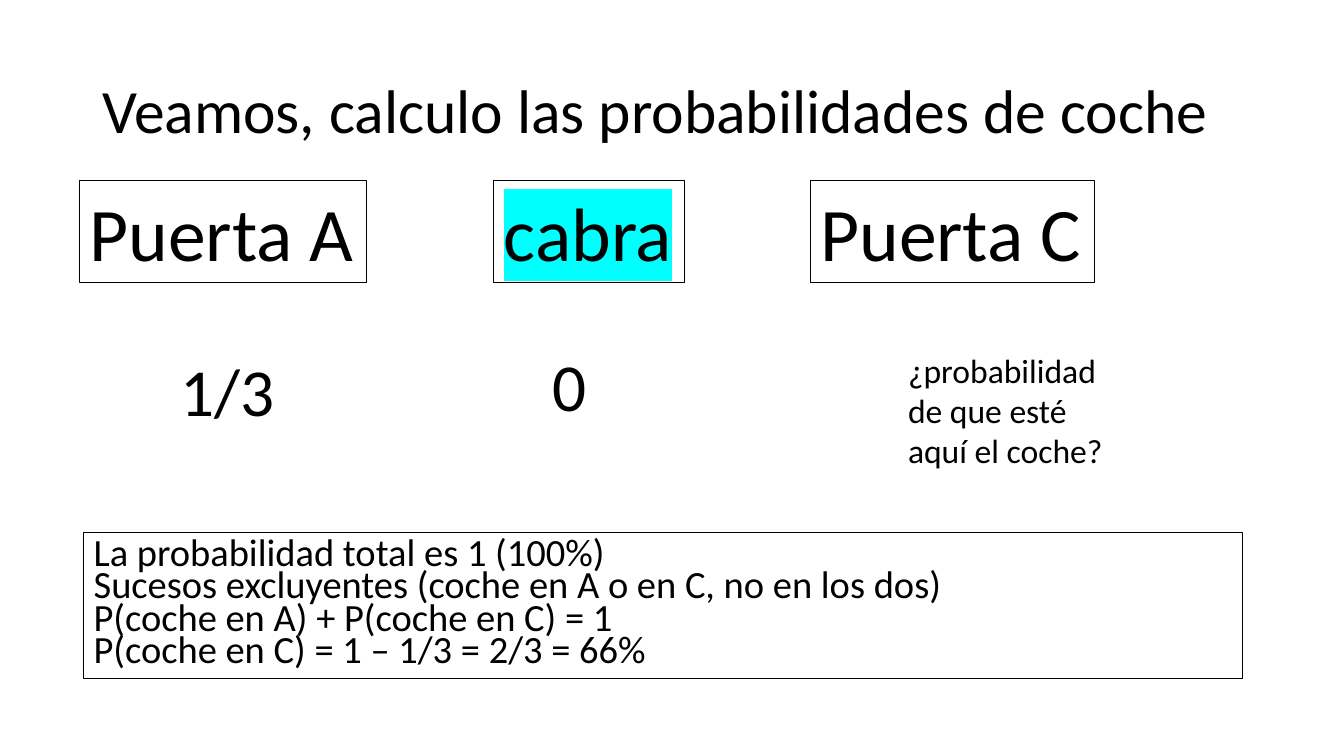
from dataclasses import dataclass

from lxml import etree
from pptx import Presentation
from pptx.dml.color import RGBColor
from pptx.enum.text import MSO_ANCHOR, MSO_AUTO_SIZE, PP_ALIGN
from pptx.oxml.ns import qn
from pptx.slide import Slide
from pptx.text.text import _Run
from pptx.util import Pt

TOP, MIDDLE = MSO_ANCHOR.TOP, MSO_ANCHOR.MIDDLE
FIT, FIXED = MSO_AUTO_SIZE.SHAPE_TO_FIT_TEXT, MSO_AUTO_SIZE.NONE
LEFT = PP_ALIGN.LEFT
FONT = "Calibri"
COLORS = {"ink": "000000", "paper": "FFFFFF", "goat": "00FFFF"}


@dataclass(frozen=True)
class Label:
    lines: tuple[str, ...]
    left: float
    top: float
    width: float
    height: float
    size: float
    framed: bool = False
    wrap: bool = True
    fit: bool = True
    spacing: float = 1.0
    highlight: str = ""


def door(name: str, left: float, width: float, highlight: str = "") -> Label:
    return Label((name,), left, 128.9, width, 72.7, 54,
                 framed=True, wrap=False, highlight=highlight)


def chance(value: str, left: float, top: float) -> Label:
    return Label((value,), left, top, 131, 65.5, 48)


LABELS = (
    Label(("Veamos, calculo las probabilidades de coche",),
          66, 28.8, 828, 104.4, 44, fit=False, spacing=0.9),
    door("Puerta A", 56.9, 205.2),
    door("cabra", 352.8, 136.1, highlight="goat"),
    door("Puerta C", 578.9, 203),
    chance("1/3", 121.7, 246.2),
    chance("0", 387.4, 242.6),
    Label(("¿probabilidad de que esté aquí el coche?",),
          641.5, 246.2, 164.2, 94.3, 24),
    Label(("La probabilidad total es 1 (100%)",
           "Sucesos excluyentes (coche en A o en C, no en los dos)",
           "P(coche en A) + P(coche en C) = 1",
           "P(coche en C) = 1 – 1/3 = 2/3 = 66%"),
          59.8, 380.2, 828, 104.4, 27.5, framed=True, fit=False, spacing=0.7),
)


def rgb(key: str) -> RGBColor:
    return RGBColor.from_string(COLORS[key])


def highlight_run(run: _Run, key: str) -> None:
    properties = run.font._element
    marker = etree.SubElement(properties, qn("a:highlight"))
    etree.SubElement(marker, qn("a:srgbClr"), val=COLORS[key])


def draw_label(slide: Slide, label: Label) -> None:
    box = slide.shapes.add_textbox(Pt(label.left), Pt(label.top),
                                   Pt(label.width), Pt(label.height))
    if label.framed:
        box.line.color.rgb = rgb("ink")
        box.line.width = Pt(0.75)
    frame = box.text_frame
    frame.word_wrap = label.wrap
    frame.auto_size = FIT if label.fit else FIXED
    frame.vertical_anchor = TOP if label.fit else MIDDLE
    frame.text = "\n".join(label.lines)
    for paragraph in frame.paragraphs:
        paragraph.alignment = LEFT
        paragraph.line_spacing = label.spacing
        paragraph.font.name = FONT
        paragraph.font.size = Pt(label.size)
        paragraph.font.color.rgb = rgb("ink")
        if label.highlight:
            highlight_run(paragraph.runs[0], label.highlight)


def main() -> None:
    deck = Presentation()
    deck.slide_width, deck.slide_height = Pt(960), Pt(540)
    slide = deck.slides.add_slide(deck.slide_layouts[6])
    slide.background.fill.solid()
    slide.background.fill.fore_color.rgb = rgb("paper")
    for label in LABELS:
        draw_label(slide, label)
    deck.save("out.pptx")


if __name__ == "__main__":
    main()
